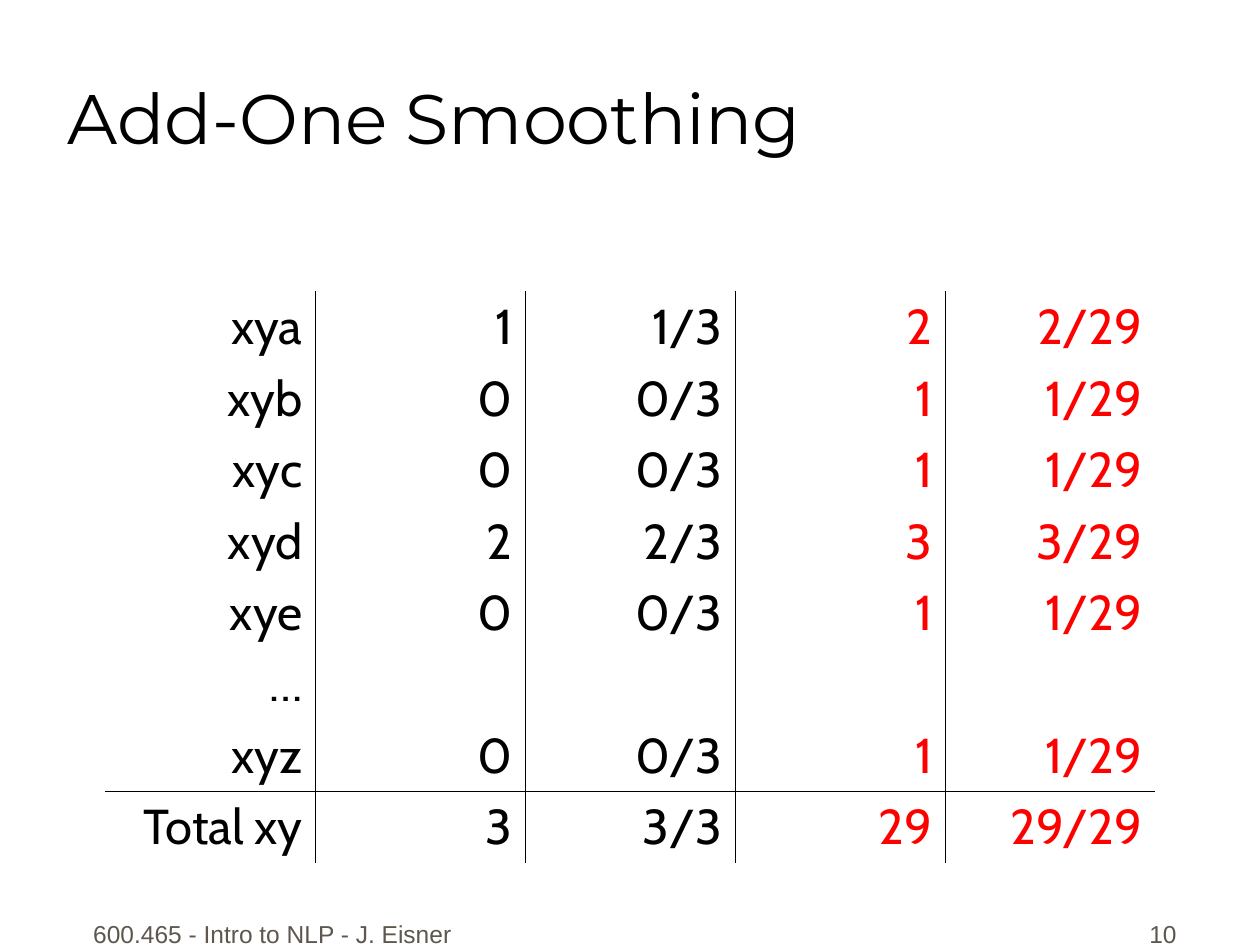
from lxml.etree import SubElement
from pptx import Presentation
from pptx.dml.color import RGBColor
from pptx.enum.text import MSO_ANCHOR as Anchor, PP_ALIGN as Align
from pptx.oxml.ns import qn
from pptx.util import Emu, Pt

PX = 914400 / 126
BLACK = RGBColor(0x00, 0x00, 0x00)
RED = RGBColor(0xFF, 0x00, 0x00)
GREY = RGBColor(0x5E, 0x57, 0x4E)
PLAIN = "{2D5ABB26-0587-4C30-8999-92F81FD0307C}"

ROWS = [
    ("xya", "1", "1/3", "2", "2/29"),
    ("xyb", "0", "0/3", "1", "1/29"),
    ("xyc", "0", "0/3", "1", "1/29"),
    ("xyd", "2", "2/3", "3", "3/29"),
    ("xye", "0", "0/3", "1", "1/29"),
    ("…", "", "", "", ""),
    ("xyz", "0", "0/3", "1", "1/29"),
    ("Total xy", "3", "3/3", "29", "29/29"),
]


def scale(*box):
    return [Emu(round(n * PX)) for n in box]


def write(frame, text, font, size, color, align):
    para = frame.paragraphs[0]
    para.text = text
    para.alignment = align
    style = {"name": font, "size": Pt(size), "bold": False}
    for target in [para.font] + [run.font for run in para.runs]:
        for key, value in style.items():
            setattr(target, key, value)
        target.color.rgb = color


def add_title(slide, box, text):
    title = slide.shapes.title
    title.left, title.top, title.width, title.height = scale(*box)
    frame = title.text_frame
    frame.word_wrap = True
    frame.vertical_anchor = Anchor.BOTTOM
    write(frame, text, "Montserrat", 40, BLACK, Align.LEFT)


def add_footer(slide, box, text, align):
    frame = slide.shapes.add_textbox(*scale(*box)).text_frame
    frame.word_wrap = True
    frame.vertical_anchor = Anchor.BOTTOM
    write(frame, text, "Arial", 14, GREY, align)


def rule(cell, sides):
    """Draw thin black borders on the sides given, in schema order."""
    props = cell._tc.get_or_add_tcPr()
    for side in sides:
        line = SubElement(props, qn(f"a:ln{side}"), w=str(Pt(0.45)))
        fill = SubElement(line, qn("a:solidFill"))
        SubElement(fill, qn("a:srgbClr"), val=str(BLACK))


def add_counts(slide, box):
    """Rule between all columns, and above the total row."""
    last, end = len(ROWS) - 1, len(ROWS[0]) - 1
    frame = slide.shapes.add_table(last + 1, end + 1, *scale(*box))
    table = frame.table
    table.first_row = table.horz_banding = False
    table._tbl.tblPr.find(qn("a:tableStyleId")).text = PLAIN
    for r, row in enumerate(ROWS):
        for c, text in enumerate(row):
            cell = table.cell(r, c)
            edges = {"L": c > 0, "R": c < end,
                     "T": r == last, "B": r == last - 1}
            rule(cell, [side for side, drawn in edges.items() if drawn])
            cell.fill.background()
            color = RED if c > 2 else BLACK
            write(cell.text_frame, text, "Cabin", 28, color, Align.RIGHT)


def main():
    deck = Presentation()
    deck.slide_width, deck.slide_height = scale(1260, 945)
    slide = deck.slides.add_slide(deck.slide_layouts[5])
    add_footer(slide, (73, 892, 399, 63),
               "600.465 - Intro to NLP - J. Eisner", Align.CENTER)
    add_footer(slide, (927, 892, 262, 63), "10", Align.RIGHT)
    add_title(slide, (55, 8, 1071, 157), "Add-One Smoothing")
    add_counts(slide, (105, 291, 1050, 571))
    deck.save("out.pptx")


if __name__ == "__main__":
    main()
